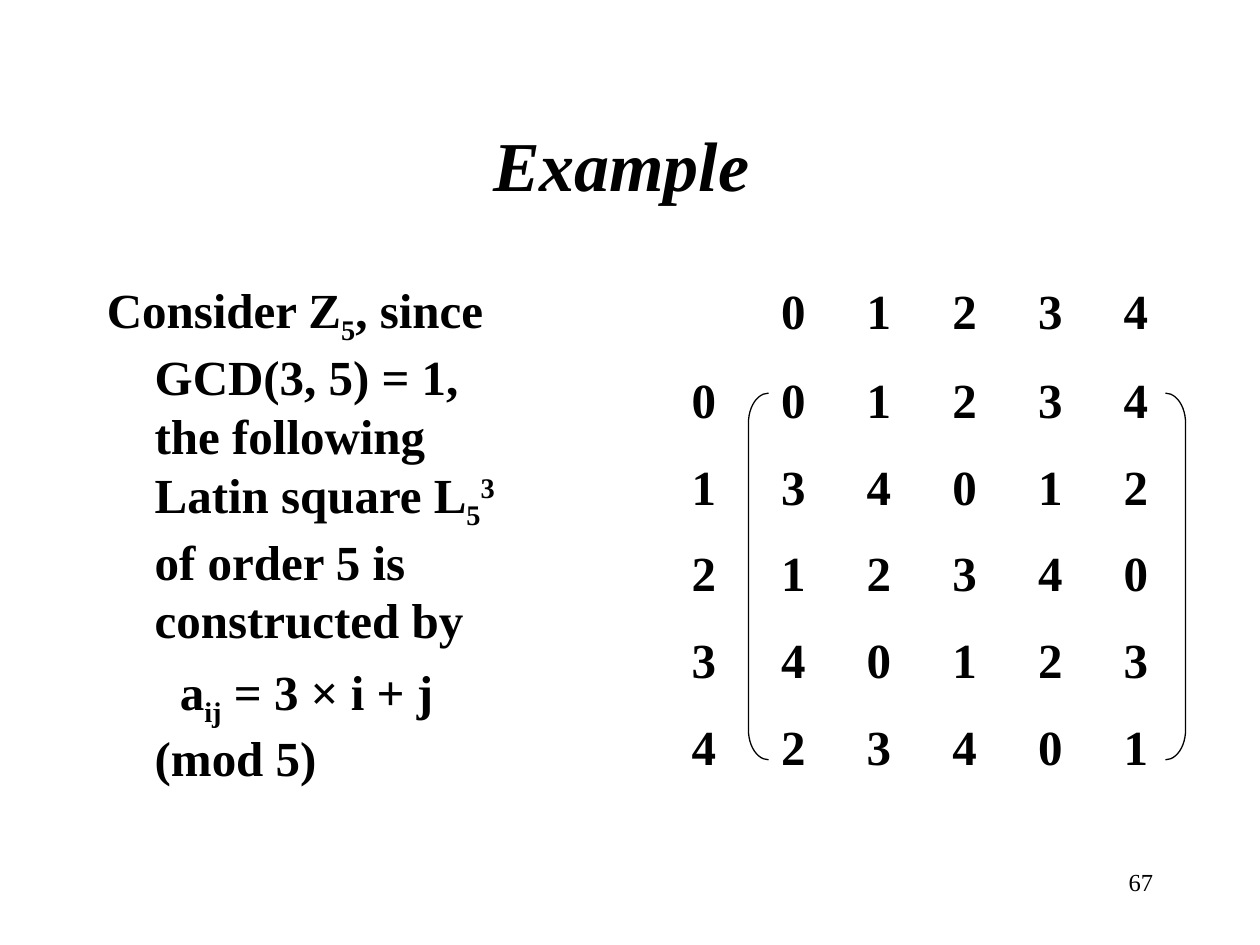
from pptx import Presentation
from pptx.dml.color import RGBColor
from pptx.enum import shapes, text
from pptx.util import Inches, Pt

THEME = {
    "font": "Times New Roman",
    "ink": RGBColor(0, 0, 0),
    "title": 40,
    "body": 28,
    "number": 14,
    "line": 0.75,
}
SUB, SUP = -25000, 30000


def write(paragraph, content, size=THEME["body"], bold=True, italic=False,
          baseline=0, align=None, before=0):
    """Add one formatted run to a paragraph."""
    paragraph.alignment = align
    paragraph.space_before = Pt(before)
    run = paragraph.add_run()
    run.text = content
    font = run.font
    font.name, font.size = THEME["font"], Pt(size)
    font.bold, font.italic = bold, italic
    font.color.rgb = THEME["ink"]
    if baseline:
        run._r.get_or_add_rPr().set("baseline", str(baseline))


def add_text_frame(parent, left, top, width, height):
    """Add a wrapping text box and return its text frame."""
    box = parent.add_textbox(Inches(left), Inches(top), Inches(width), Inches(height))
    box.text_frame.word_wrap = True
    return box.text_frame


prs = Presentation()
prs.slide_width, prs.slide_height = Inches(10), Inches(7.5)
slide = prs.slides.add_slide(prs.slide_layouts[5])

# Title
title = slide.shapes.title
title.left, title.top = Inches(0.75), Inches(0.67)
title.width, title.height = Inches(8.5), Inches(1.25)
title.text_frame.vertical_anchor = text.MSO_ANCHOR.MIDDLE
title.text_frame.auto_size = text.MSO_AUTO_SIZE.NONE
write(title.text_frame.paragraphs[0], "Example ", size=THEME["title"],
      italic=True, align=text.PP_ALIGN.CENTER)

# Page number
page_number = add_text_frame(slide.shapes, 7.17, 6.83, 2.08, 0.5)
write(page_number.paragraphs[0], "67", size=THEME["number"], bold=False,
      align=text.PP_ALIGN.RIGHT)

# Explanation: first-line indent, then runs with their baseline shift
explanation = add_text_frame(slide.shapes, 0.75, 2.17, 3.54, 4.5)
statements = [
    (-0.38, [("Consider Z", 0), ("5", SUB),
             (", since GCD(3, 5) = 1, the following Latin square L", 0),
             ("5", SUB), ("3", SUP), (" of order 5 is constructed by", 0)]),
    (0.2, [("a", 0), ("ij", SUB), (" = 3 × i + j (mod 5)", 0)]),
]
for index, (indent, runs) in enumerate(statements):
    statement = explanation.add_paragraph() if index else explanation.paragraphs[0]
    properties = statement._p.get_or_add_pPr()
    properties.set("marL", str(Inches(0.38)))
    properties.set("indent", str(Inches(indent)))
    for content, baseline in runs:
        write(statement, content, baseline=baseline, before=7)

# Latin square: column headings, row headings and a_ij = 3i + j (mod 5)
ORDER, MULTIPLIER = 5, 3
CELL_W, CELL_H = 0.68, 0.69
SQUARE_LEFT, HEADING_LEFT = 6.1, 5.39
HEADING_TOP, SQUARE_TOP = 2.18, 2.88
latin_square = slide.shapes.add_group_shape().shapes

entries = []
for i in range(ORDER):
    entries.append((SQUARE_LEFT + i * CELL_W, HEADING_TOP, i))
    entries.append((HEADING_LEFT, SQUARE_TOP + i * CELL_H, i))
    for j in range(ORDER):
        entries.append((SQUARE_LEFT + j * CELL_W, SQUARE_TOP + i * CELL_H,
                        (MULTIPLIER * i + j) % ORDER))
for left, top, value in entries:
    entry = add_text_frame(latin_square, left, top, CELL_W, CELL_H)
    write(entry.paragraphs[0], str(value), before=7)

# Brackets around the square
for left, kind in [(5.94, shapes.MSO_SHAPE.LEFT_BRACKET),
                   (9.25, shapes.MSO_SHAPE.RIGHT_BRACKET)]:
    bracket = latin_square.add_shape(kind, Inches(left), Inches(3.12),
                                     Inches(0.16), Inches(2.91))
    bracket.adjustments[0] = 1.5
    bracket.shadow.inherit = False
    bracket.fill.background()
    bracket.line.color.rgb = THEME["ink"]
    bracket.line.width = Pt(THEME["line"])

prs.save("out.pptx")
